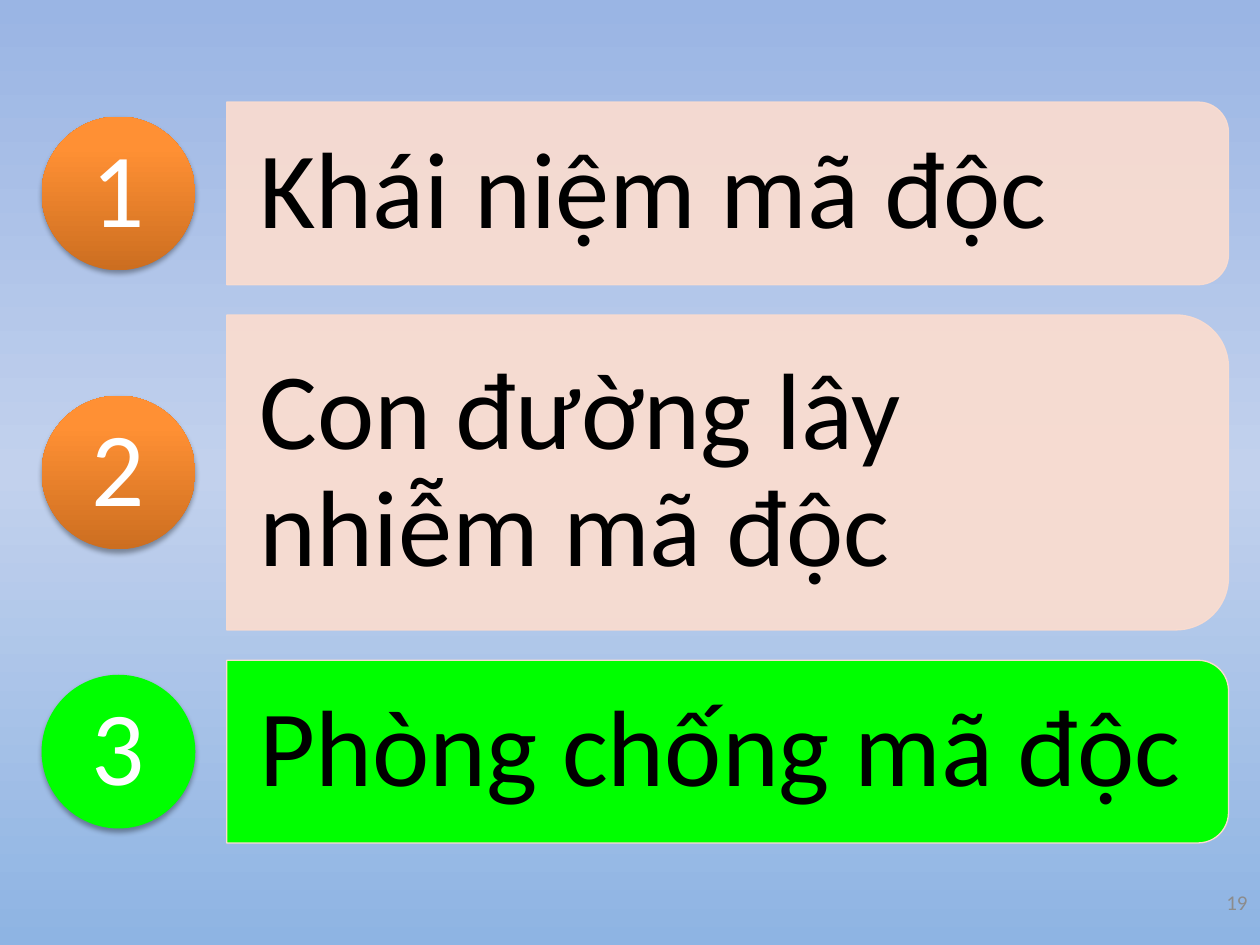
from copy import deepcopy

from lxml.etree import SubElement
from pptx import Presentation
from pptx.dml.color import RGBColor
from pptx.enum.shapes import MSO_SHAPE
from pptx.enum.text import MSO_ANCHOR, PP_ALIGN
from pptx.oxml import parse_xml
from pptx.oxml.ns import nsdecls, qn
from pptx.util import Inches, Pt

COLORS = {
    "bar": "FCDDCF",
    "active": "00FF00",
    "text": "000000",
    "number": "FFFFFF",
    "page": "8C8C8C",
}
BACKGROUND_STOPS = [(0, "9AB5E4"), (0.5, "C2D1ED"), (1, "8EB4E3")]
CIRCLE_STOPS = [(0, "CC6E20"), (0.8, "FF9034"), (1, "FF9136")]
BAR_LEFT, BAR_WIDTH, BAR_GAP, FIRST_TOP = 1.8, 7.95, 0.24, 0.81
CIRCLE_LEFT, CIRCLE_SIZE = 0.33, 1.22
TOPICS = [
    ("Khái niệm mã độc", 1.45, 7.88, False),
    ("Con đường lây nhiễm mã độc", 2.5, 7.83, False),
    ("Phòng chống mã độc", 1.45, 7.88, True),
]


def fill_solid(fill, color):
    """Fill with one colour."""
    fill.solid()
    fill.fore_color.rgb = RGBColor.from_string(color)


def fill_gradient(fill, element, stops, angle):
    """Fill with a linear gradient of three stops."""
    fill.gradient()
    fill.gradient_angle = angle
    stop_list = element.xpath(".//a:gsLst")[0]
    stop_list.append(deepcopy(stop_list[0]))
    for stop, (position, color) in zip(fill.gradient_stops, stops):
        stop.position = position
        stop.color.rgb = RGBColor.from_string(color)


def set_transparent(shape, percent):
    """Give every solid colour of the shape the same opacity."""
    for color in shape._element.xpath("./p:spPr//a:srgbClr"):
        SubElement(color, qn("a:alpha")).set("val", str(percent * 1000))


def add_soft_shadow(shape):
    """Put a faint shadow just below the shape."""
    shape._element.spPr.append(parse_xml(
        f'<a:effectLst {nsdecls("a")}>'
        '<a:outerShdw blurRad="40000" dist="23000" dir="5400000" rotWithShape="0">'
        '<a:srgbClr val="000000"><a:alpha val="35000"/></a:srgbClr>'
        '</a:outerShdw></a:effectLst>'))


def write_text(shape, text, size, color, alignment, margins, line_spacing=1.0):
    """Write one vertically centred paragraph."""
    frame = shape.text_frame
    frame.word_wrap = True
    frame.vertical_anchor = MSO_ANCHOR.MIDDLE
    frame.margin_left = frame.margin_right = Inches(margins[0])
    frame.margin_top = frame.margin_bottom = Inches(margins[1])
    frame.text = text
    paragraph = frame.paragraphs[0]
    paragraph.alignment = alignment
    paragraph.line_spacing = line_spacing
    font = paragraph.runs[0].font
    font.name = "Calibri"
    font.size = Pt(size)
    font.color.rgb = RGBColor.from_string(color)


def add_bar(slide, text, top, height, text_width, active):
    """Add a bar rounded on its right side, with its label."""
    left = BAR_LEFT + (BAR_WIDTH - height) / 2
    turned_top = top + (height - BAR_WIDTH) / 2
    bar = slide.shapes.add_shape(
        MSO_SHAPE.ROUND_2_SAME_RECTANGLE,
        Inches(left), Inches(turned_top), Inches(height), Inches(BAR_WIDTH))
    bar.rotation = 90
    bar.shadow.inherit = False
    bar.line.width = Pt(0.75)
    fill_solid(bar.line.fill, COLORS["bar"])
    fill_solid(bar.fill, COLORS["active" if active else "bar"])
    if not active:
        set_transparent(bar, 90)
    label_height = height * 0.9
    label = slide.shapes.add_textbox(
        Inches(BAR_LEFT), Inches(top + (height - label_height) / 2),
        Inches(text_width), Inches(label_height))
    write_text(label, text, 62, COLORS["text"], PP_ALIGN.LEFT, (0.26, 0.17), 0.9)


def add_number(slide, number, middle, active):
    """Add a numbered circle centred on the given height."""
    circle = slide.shapes.add_shape(
        MSO_SHAPE.OVAL, Inches(CIRCLE_LEFT), Inches(middle - CIRCLE_SIZE / 2),
        Inches(CIRCLE_SIZE), Inches(CIRCLE_SIZE))
    circle.line.fill.background()
    if active:
        fill_solid(circle.fill, COLORS["active"])
    else:
        fill_gradient(circle.fill, circle._element, CIRCLE_STOPS, 90)
    add_soft_shadow(circle)
    write_text(circle, str(number), 60, COLORS["number"], PP_ALIGN.CENTER, (0, 0), 0.9)


def add_page_number(slide, number):
    """Add the page number in the bottom right corner."""
    box = slide.shapes.add_textbox(
        Inches(9.33), Inches(6.82), Inches(0.67), Inches(0.68))
    write_text(box, str(number), 12, COLORS["page"], PP_ALIGN.RIGHT, (0.1, 0.05))


def main():
    """Build the agenda slide."""
    presentation = Presentation()
    presentation.slide_width, presentation.slide_height = Inches(10), Inches(7.5)
    slide = presentation.slides.add_slide(presentation.slide_layouts[6])
    fill_gradient(slide.background.fill, slide._element, BACKGROUND_STOPS, 270)
    add_page_number(slide, 19)
    top = FIRST_TOP
    for number, (text, height, text_width, active) in enumerate(TOPICS, start=1):
        add_bar(slide, text, top, height, text_width, active)
        add_number(slide, number, top + height / 2, active)
        top += height + BAR_GAP
    presentation.save("out.pptx")


if __name__ == "__main__":
    main()
